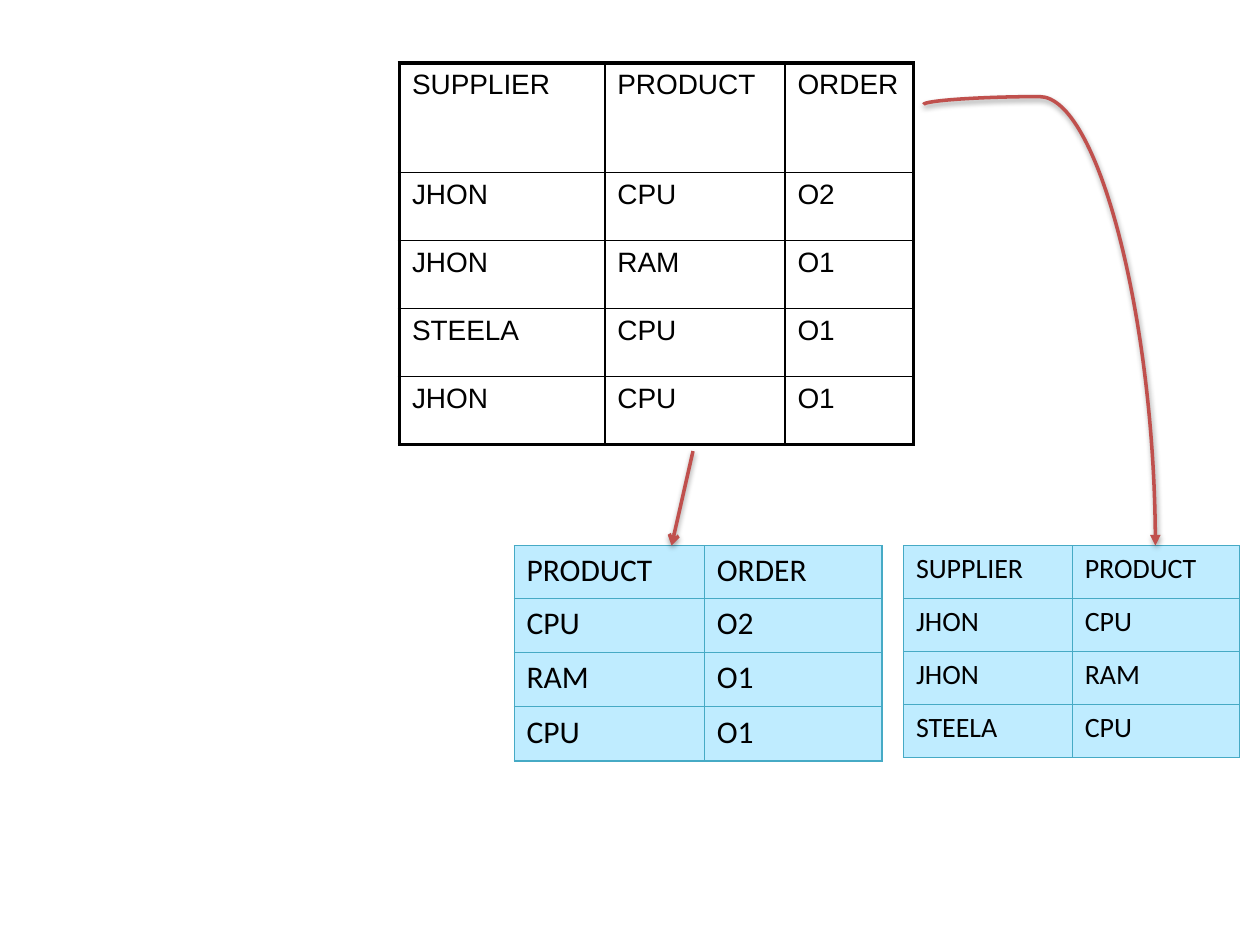
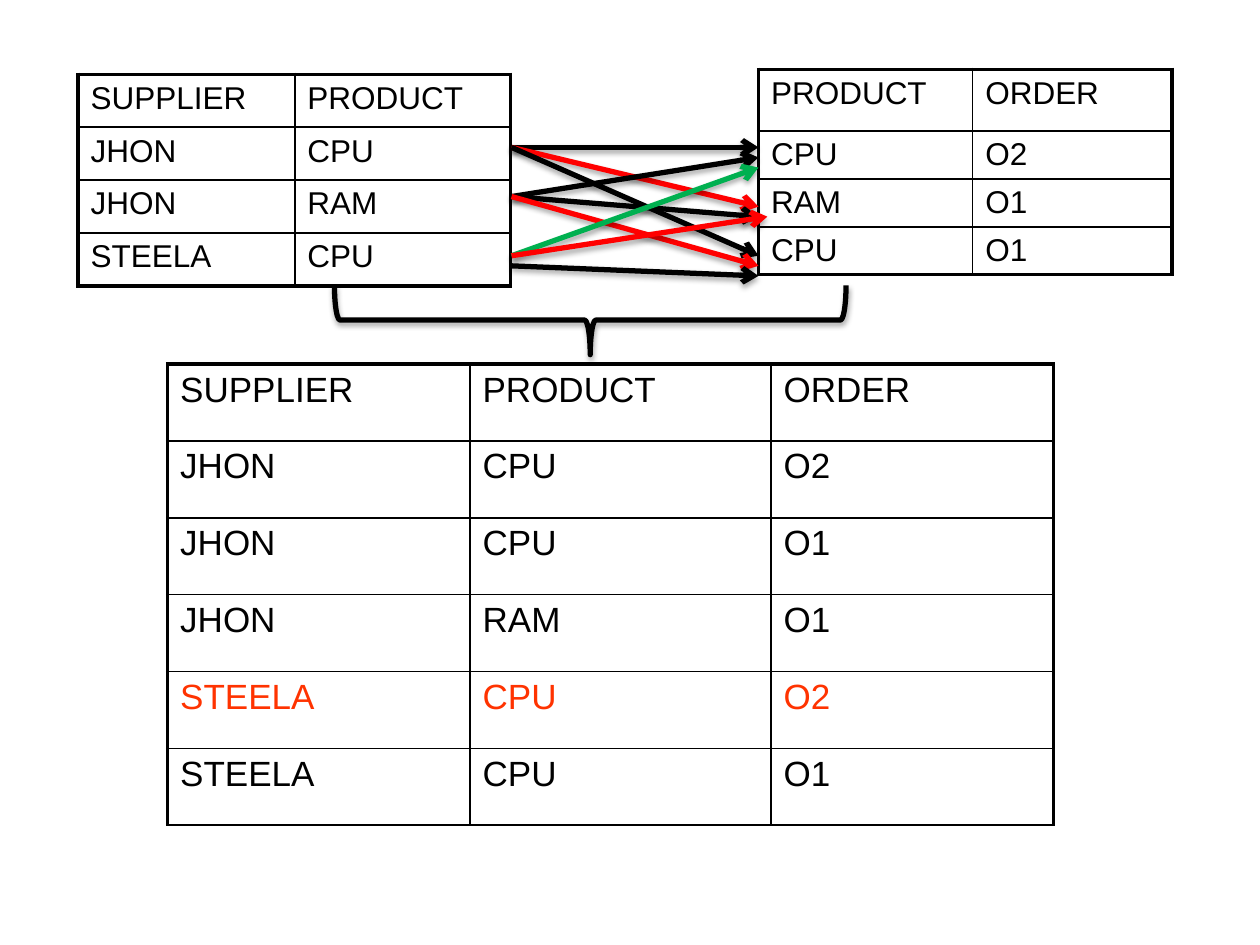
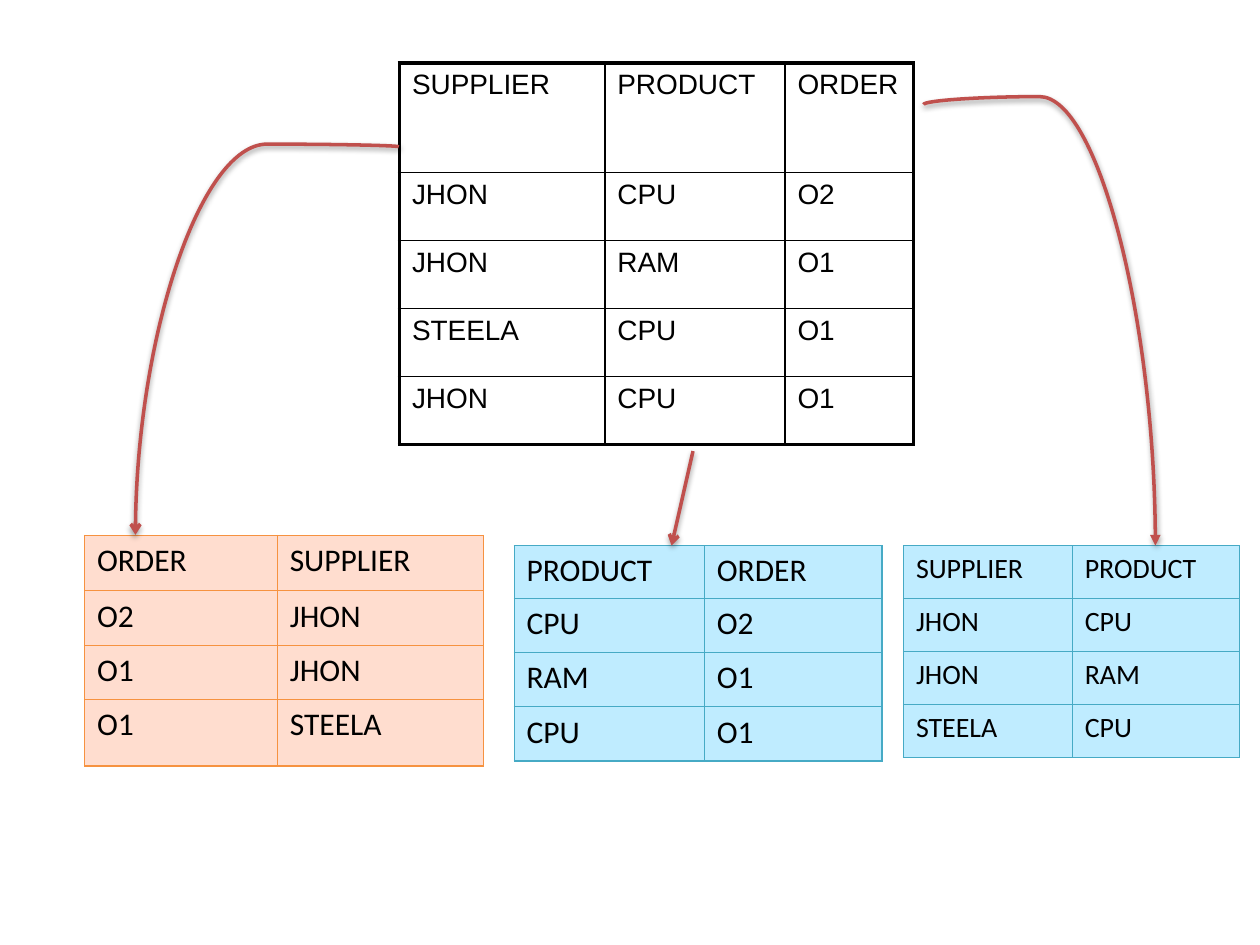
from dataclasses import dataclass, field
from typing import Any

from lxml import etree
from pptx import Presentation
from pptx import util as u
from pptx.dml.color import RGBColor
from pptx.enum import shapes
from pptx.oxml import ns

SCALE = 9144
HUES = {
    "ink": "000000", "red": "FF0000", "hot": "FF3300", "green": "00B050",
    "brick": "C0504D", "teal": "46AAC5", "sky": "BFECFF",
    "amber": "F69240", "peach": "FFDDCF",
}
FLAGS = {"first_row": False, "horz_banding": False}
SHADES = {2: {"alpha": 38000, "dist": 20000}, 3: {"alpha": 35000, "dist": 23000}}


@dataclass(frozen=True)
class Look:
    """How the cells of a table are drawn."""
    font: str
    edge: str
    rim: float
    rule: float
    fill: str = ""


@dataclass(frozen=True)
class Grid:
    """A table: its corner, column and row sizes, and words."""
    x: int
    y: int
    cols: list[int]
    rows: list[int]
    words: list[str]
    size: int
    look: Look
    foot: bool = True
    marks: dict[int, str] = field(default_factory=dict)


@dataclass(frozen=True)
class Arrow:
    """A straight or bent arrow between two points."""
    x1: int
    y1: int
    x2: int
    y2: int
    hue: str = "ink"
    width: int = 3
    tip: str = "arrow"
    bend: int = 0


PLAIN = Look("Arial", "ink", 2.25, 1)
COOL = Look("Calibri", "teal", 0.75, 0.75, "sky")
WARM = Look("Calibri", "amber", 0.75, 0.75, "peach")

ORDERS = Grid(317, 50, [163, 143, 102], [87] + [54] * 4, [
    "SUPPLIER PRODUCT ORDER", "JHON CPU O2", "JHON RAM O1",
    "STEELA CPU O1", "JHON CPU O1"], 16, PLAIN)
PAIRS = ["SUPPLIER PRODUCT", "JHON CPU", "JHON RAM", "STEELA CPU"]
PARTS = ["PRODUCT ORDER", "CPU O2", "RAM O1", "CPU O1"]
BUYERS = ["ORDER SUPPLIER", "O2 JHON", "O1 JHON", "O1 STEELA"]

SELLS = Grid(717, 433, [134, 133], [42] * 4, PAIRS, 16, COOL)
NEEDS = Grid(408, 433, [151, 141], [42] + [43] * 3, PARTS, 18, COOL)
ASKS = Grid(67, 425, [153, 164], [44, 43, 43, 53], BUYERS, 18, WARM)
LEFT = Grid(62, 59, [172, 171], [42] * 4, PAIRS, 18, PLAIN)
RIGHT = Grid(602, 55, [170, 158], [49] + [36] * 3, PARTS, 18, PLAIN)
JOINED = Grid(133, 289, [240, 239, 224], [61] * 6, [
    "SUPPLIER PRODUCT ORDER", "JHON CPU O2", "JHON CPU O1", "JHON RAM O1",
    "STEELA CPU O2", "STEELA CPU O1"], 20, PLAIN, False, {4: "hot"})

DOWN = Arrow(550, 358, 533, 433, "brick", 2)
EAST = Arrow(733, 83, 917, 433, "brick", 2, "triangle", -1800)
WEST = Arrow(317, 117, 108, 425, "brick", 2, "arrow", -700)
FAN = [
    Arrow(406, 117, 602, 117), Arrow(406, 117, 602, 164, "red"),
    Arrow(406, 117, 602, 203), Arrow(406, 156, 602, 125),
    Arrow(406, 156, 602, 172), Arrow(406, 156, 602, 211, "red"),
    Arrow(406, 203, 602, 133, "green"), Arrow(406, 211, 602, 219),
    Arrow(406, 203, 609, 172, "red"),
]


def px(num: int) -> u.Emu:
    """Turn px into EMU."""
    return u.Emu(num * SCALE)


def tint(hue: str) -> RGBColor:
    """Look up a named colour."""
    return RGBColor.from_string(HUES[hue])


def style(item: Any, form: dict[str, Any]) -> None:
    """Set each format value on the item."""
    for key, val in form.items():
        setattr(item, key, val)


def node(top: Any, tag: str, **vals: Any) -> Any:
    """Add a drawing element with its values."""
    return etree.SubElement(top, ns.qn(f"a:{tag}"), {k: str(v) for k, v in vals.items()})


def shade(item: Any, width: int) -> None:
    """Give the item the soft shadow that goes with its line width."""
    tone = SHADES[width]
    drop = node(node(item.element.spPr, "effectLst"), "outerShdw", blurRad=40000,
                dist=tone["dist"], dir=5400000, rotWithShape=0)
    node(node(drop, "srgbClr", val=HUES["ink"]), "alpha", val=tone["alpha"])


def pen(item: Any, hue: str, width: int) -> None:
    """Set the line of the item and its shadow."""
    item.line.color.rgb = tint(hue)
    item.line.width = u.Pt(width)
    shade(item, width)


def edge(cell: Any, side: str, hue: str, width: float) -> None:
    """Draw one border of a cell."""
    line = node(cell._tc.get_or_add_tcPr(), f"ln{side}", w=u.Pt(width))
    node(node(line, "solidFill"), "srgbClr", val=HUES[hue])


def write(cell: Any, word: str, grid: Grid, hue: str) -> None:
    """Write the word of a cell and fill the cell."""
    para = cell.text_frame.paragraphs[0]
    para.space_before = u.Pt(grid.size * 0.2)
    run = para.add_run()
    run.text = word
    style(run.font, {"name": grid.look.font, "size": u.Pt(grid.size), "bold": False})
    run.font.color.rgb = tint(hue)
    if grid.look.fill:
        cell.fill.solid()
        cell.fill.fore_color.rgb = tint(grid.look.fill)
    else:
        cell.fill.background()


def draw_grid(slide: Any, grid: Grid) -> None:
    """Draw a table with a rim and inner rules."""
    high, wide = len(grid.rows), len(grid.cols)
    table = slide.shapes.add_table(high, wide, px(grid.x), px(grid.y),
                                   px(sum(grid.cols)), px(sum(grid.rows))).table
    style(table, FLAGS)
    for col, size in zip(table.columns, grid.cols):
        col.width = px(size)
    for row, size in zip(table.rows, grid.rows):
        row.height = px(size)
    look = grid.look
    for r, line in enumerate(grid.words):
        for c, word in enumerate(line.split()):
            cell = table.cell(r, c)
            rims = {"L": c == 0, "R": c == wide - 1, "T": r == 0,
                    "B": grid.foot and r == high - 1}
            for side, rim in rims.items():
                edge(cell, side, look.edge, look.rim if rim else look.rule)
            write(cell, word, grid, grid.marks.get(r, "ink"))


def add_curve(slide: Any, arrow: Arrow) -> Any:
    """Add a curve that leaves sideways and lands from above."""
    wide, high = arrow.y2 - arrow.y1, abs(arrow.x2 - arrow.x1)
    x = (arrow.x1 + arrow.x2 - wide) // 2
    y = (arrow.y1 + arrow.y2 - high) // 2
    east = arrow.x2 > arrow.x1
    ends = (x + wide, x) if east else (x, x + wide)
    line = slide.shapes.add_connector(shapes.MSO_CONNECTOR.CURVE, px(ends[0]), px(y),
                                      px(ends[1]), px(y + high))
    props = line.element.spPr
    props.find(ns.qn("a:xfrm")).set("rot", str((270 if east else 90) * 60000))
    guides = props.find(ns.qn("a:prstGeom")).find(ns.qn("a:avLst"))
    node(guides, "gd", name="adj1", fmla=f"val {arrow.bend}")
    return line


def draw_arrow(slide: Any, arrow: Arrow) -> None:
    """Draw an arrow with its head and shadow."""
    if arrow.bend:
        line = add_curve(slide, arrow)
    else:
        line = slide.shapes.add_connector(shapes.MSO_CONNECTOR.STRAIGHT, px(arrow.x1),
                                          px(arrow.y1), px(arrow.x2), px(arrow.y2))
    pen(line, arrow.hue, arrow.width)
    node(line.line._get_or_add_ln(), "tailEnd", type=arrow.tip)


def draw_brace(slide: Any) -> None:
    """Draw the brace that joins the two upper tables."""
    brace = slide.shapes.add_shape(shapes.MSO_SHAPE.LEFT_BRACE, px(441), px(51),
                                   px(55), px(406))
    brace.rotation = 270
    brace.adjustments[0] = 0.08
    brace.fill.background()
    pen(brace, "ink", 3)


def build(deck: Any, grids: list[Grid], arrows: list[Arrow], brace: bool = False) -> None:
    """Add a slide with its tables, brace and arrows."""
    slide = deck.slides.add_slide(deck.slide_layouts[6])
    for grid in grids:
        draw_grid(slide, grid)
    if brace:
        draw_brace(slide)
    for arrow in arrows:
        draw_arrow(slide, arrow)


def main() -> None:
    """Build the three slides and save them."""
    deck = Presentation()
    style(deck, {"slide_width": px(1000), "slide_height": px(750)})
    build(deck, [ORDERS, SELLS, NEEDS], [EAST, DOWN])
    build(deck, [RIGHT, LEFT, JOINED], FAN, brace=True)
    build(deck, [ORDERS, SELLS, ASKS, NEEDS], [WEST, EAST, DOWN])
    deck.save("out.pptx")


if __name__ == "__main__":
    main()
